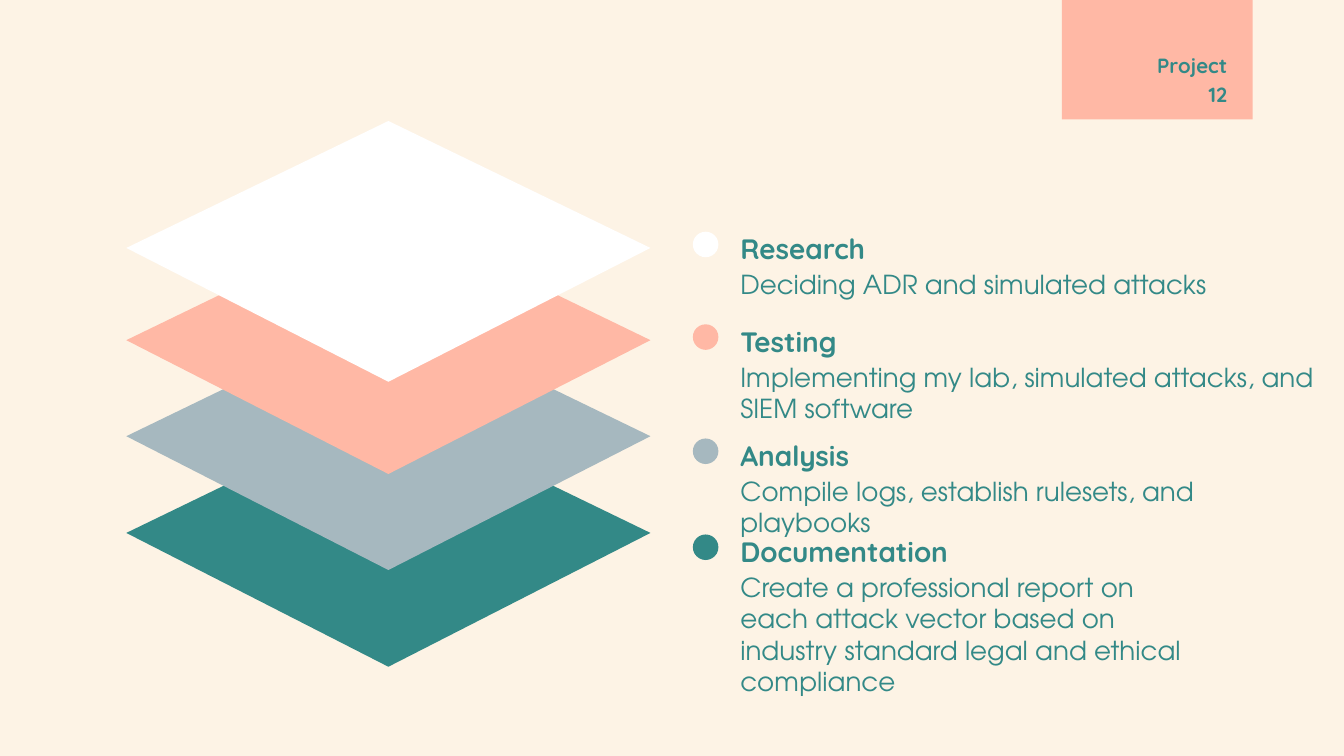
from dataclasses import dataclass

from pptx import Presentation, util as u
from pptx.dml.color import RGBColor
from pptx.enum import shapes, text


@dataclass(frozen=True)
class Theme:
    cream: str = "FDF3E5"
    white: str = "FFFFFF"
    coral: str = "FFB8A5"
    grey: str = "A6B8BF"
    teal: str = "338987"
    heading_font: str = "Quicksand"
    body_font: str = "TeX Gyre Adventor"
    label_size: int = 11
    heading_size: int = 15
    body_size: int = 14


theme = Theme()
prs = Presentation()
prs.slide_width, prs.slide_height = u.Inches(10), u.Inches(5.625)
COL, ROW = prs.slide_width / 100, prs.slide_height / 100
s = prs.slides.add_slide(prs.slide_layouts[6])
s.background.fill.solid()
s.background.fill.fore_color.rgb = RGBColor.from_string(theme.cream)


def paint(sp, color):
    sp.shadow.inherit = False
    sp.fill.solid()
    sp.fill.fore_color.rgb = RGBColor.from_string(color)
    sp.line.fill.background()


def add_text(words, left, top, width, height, size, font=theme.heading_font, bold=True,
             anchor=text.MSO_ANCHOR.TOP, align=text.PP_ALIGN.LEFT):
    """Place a one-paragraph text box, measured in percent of the slide."""
    box = s.shapes.add_textbox(int(left * COL), int(top * ROW), int(width * COL), int(height * ROW))
    tf = box.text_frame
    tf.word_wrap = True
    tf.vertical_anchor = anchor
    tf.margin_left = tf.margin_right = tf.margin_top = tf.margin_bottom = u.Inches(0.1)
    p = tf.paragraphs[0]
    p.text = words
    p.alignment = align
    p.font.name, p.font.size, p.font.bold = font, u.Pt(size), bold
    p.font.color.rgb = RGBColor.from_string(theme.teal)


# Page tab
tab = s.shapes.add_shape(shapes.MSO_SHAPE.RECTANGLE, int(79 * COL), 0, int(14.2 * COL), int(15.8 * ROW))
paint(tab, theme.coral)
add_text("Project", 60.9, 2.5, 31.4, 9.4, theme.label_size,
         anchor=text.MSO_ANCHOR.BOTTOM, align=text.PP_ALIGN.RIGHT)
add_text("12", 86.3, 9.24, 6, 7.6, theme.label_size, align=text.PP_ALIGN.RIGHT)

# Layers from top to bottom: color, diamond top, heading top, body width, heading, body
layers = [
    (theme.white, 16, 30.25, 39.1, "Research", "Deciding ADR and simulated attacks"),
    (theme.coral, 28.2, 42.5, 45.9, "Testing",
     "Implementing my lab, simulated attacks, and SIEM software"),
    (theme.grey, 40.9, 57.6, 44, "Analysis", "Compile logs, establish rulesets, and playbooks"),
    (theme.teal, 53.7, 70.3, 36.5, "Documentation",
     "Create a professional report on each attack vector based on "
     "industry standard legal and ethical compliance"),
]
LEFT, MIDDLE, RIGHT = 9.4, 28.9, 48.4
SIDE_DROP, TIP_DROP = 16.8, 34.5
DOT, TEXT_LEFT = 1.9, 54.1

# The lowest layer is drawn first so that each one overlaps the layer below
for color, diamond_top, heading_top, body_width, heading, body in reversed(layers):
    builder = s.shapes.build_freeform(int(MIDDLE * COL), int(diamond_top * ROW))
    corners = [(LEFT, SIDE_DROP), (MIDDLE, TIP_DROP), (RIGHT, SIDE_DROP)]
    builder.add_line_segments([(int(x * COL), int((diamond_top + drop) * ROW)) for x, drop in corners])
    paint(builder.convert_to_shape(), color)

    dot = s.shapes.add_shape(shapes.MSO_SHAPE.OVAL, int(51.55 * COL), int((heading_top + 0.4) * ROW),
                             int(DOT * COL), int(DOT * COL))
    paint(dot, color)

    add_text(body, TEXT_LEFT, heading_top + 3.5, body_width, 6.4, theme.body_size,
             font=theme.body_font, bold=False)
    add_text(heading, TEXT_LEFT, heading_top, 19.6, 5.2, theme.heading_size,
             anchor=text.MSO_ANCHOR.MIDDLE)

prs.save("out.pptx")
